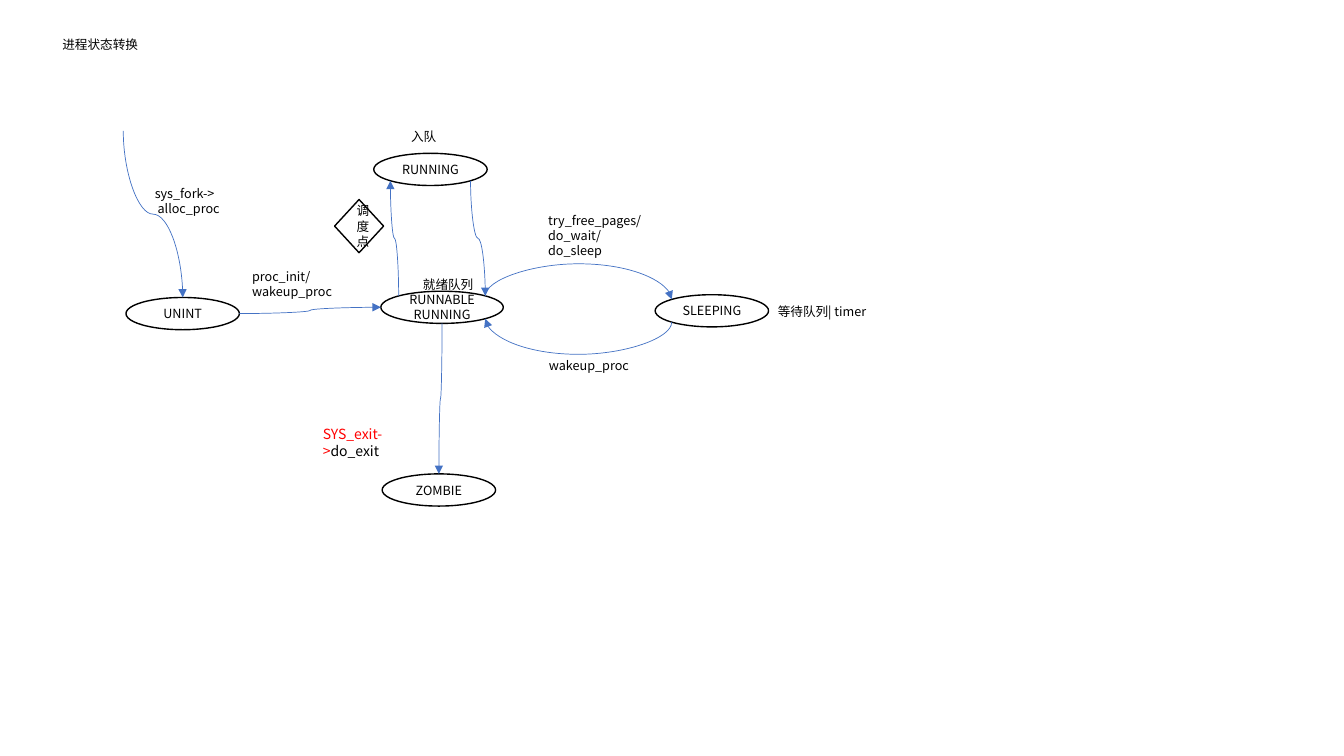
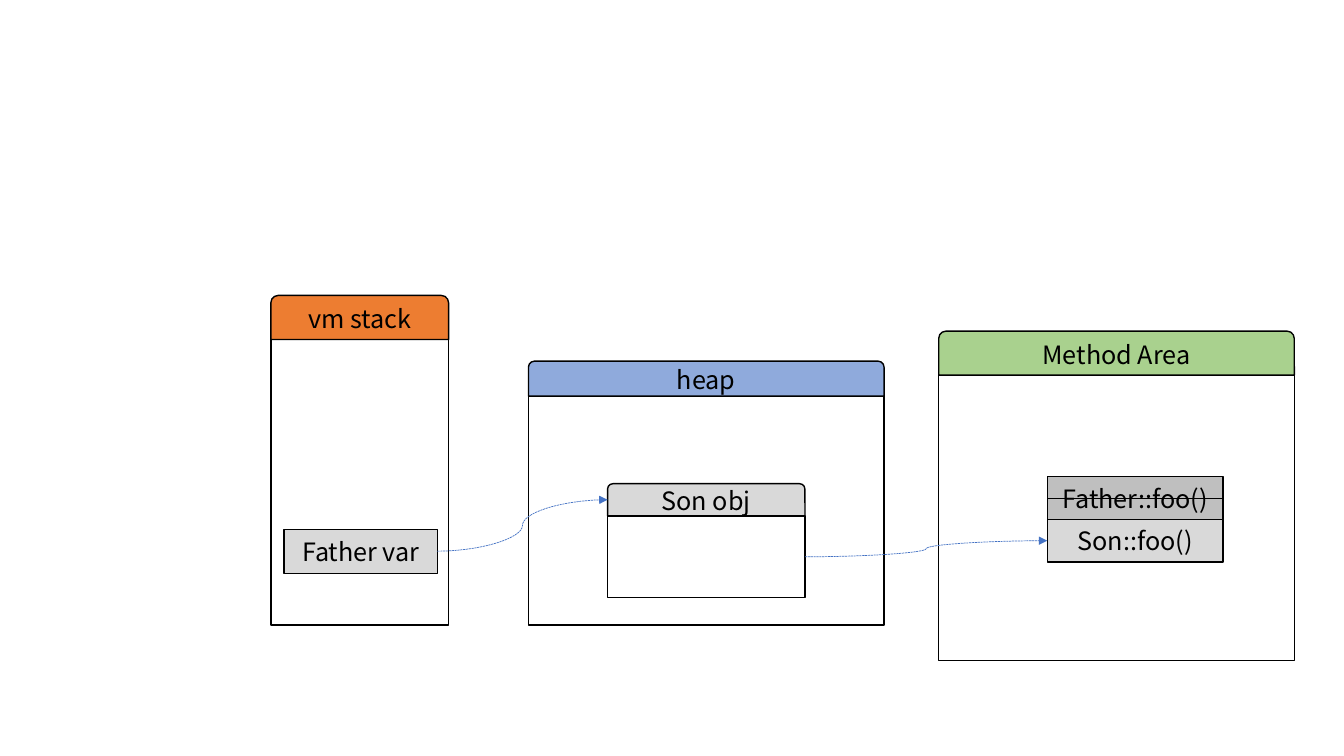
from dataclasses import dataclass
from math import cos, radians, sin

from lxml.etree import SubElement
from pptx import Presentation
from pptx.dml.color import RGBColor
from pptx.enum.dml import MSO_LINE
from pptx.enum.shapes import MSO_CONNECTOR, MSO_SHAPE
from pptx.enum.text import MSO_ANCHOR, MSO_AUTO_SIZE, PP_ALIGN
from pptx.oxml.ns import qn
from pptx.util import Pt


@dataclass(frozen=True)
class Theme:
    font: str = "Noto Sans CJK SC"
    title_font: str = "Arial"
    small: float = 9
    medium: float = 10
    large: float = 18
    ink: str = "000000"
    alert: str = "FF0000"
    arrow: str = "4472C4"
    orange: str = "ED7D31"
    blue: str = "8FAADC"
    green: str = "A9D18E"
    light: str = "D9D9D9"
    grey: str = "BFBFBF"
    outline: float = 1
    hairline: float = 0.5


def rgb(code):
    return RGBColor.from_string(code)


def site(sp, angle):
    """Point on the ellipse inscribed in a shape, clockwise from the right."""
    a = radians(angle)
    return (sp.left.pt + sp.width.pt / 2 * (1 + cos(a)),
            sp.top.pt + sp.height.pt / 2 * (1 + sin(a)))


class Deck:
    def __init__(self, theme):
        self.theme = theme
        self.prs = Presentation()
        self.prs.slide_width, self.prs.slide_height = Pt(960), Pt(540)

    def new_slide(self):
        self.s = self.prs.slides.add_slide(self.prs.slide_layouts[6])

    def add_text(self, tf, lines, size, font=None, align=PP_ALIGN.LEFT):
        """Each line is a string or a list of (text, colour) runs."""
        tf.word_wrap = True
        for i, line in enumerate(lines):
            p = tf.paragraphs[0] if i == 0 else tf.add_paragraph()
            p.alignment = align
            runs = [(line, self.theme.ink)] if isinstance(line, str) else line
            for text, color in runs:
                r = p.add_run()
                r.text = text
                r.font.size = Pt(size)
                r.font.name = font or self.theme.font
                r.font.color.rgb = rgb(color)
                SubElement(r.font._element, qn("a:ea"), typeface=self.theme.font)

    def label(self, x, y, w, h, *lines, size=None, font=None):
        tf = self.s.shapes.add_textbox(Pt(x), Pt(y), Pt(w), Pt(h)).text_frame
        self.add_text(tf, lines, size or self.theme.small, font)
        tf.auto_size = MSO_AUTO_SIZE.SHAPE_TO_FIT_TEXT

    def shape(self, kind, x, y, w, h, *lines, size=None, fill=None, inset=0):
        sp = self.s.shapes.add_shape(kind, Pt(x), Pt(y), Pt(w), Pt(h))
        sp.shadow.inherit = False
        if fill:
            sp.fill.solid()
            sp.fill.fore_color.rgb = rgb(fill)
        else:
            sp.fill.background()
        sp.line.color.rgb = rgb(self.theme.ink)
        sp.line.width = Pt(self.theme.outline)
        tf = sp.text_frame
        tf.margin_left = tf.margin_right = Pt(inset)
        tf.vertical_anchor = MSO_ANCHOR.MIDDLE
        self.add_text(tf, lines, size or self.theme.small, align=PP_ALIGN.CENTER)
        return sp

    def state(self, x, y, *lines, w=81):
        return self.shape(MSO_SHAPE.OVAL, x, y, w, 23, *lines)

    def box(self, x, y, w, h, *lines, fill=None):
        return self.shape(MSO_SHAPE.RECTANGLE, x, y, w, h, *lines,
                          size=self.theme.large, fill=fill)

    def panel(self, x, y, w, head, body, title, fill):
        frame = self.box(x, y + head, w, body)
        header = self.shape(MSO_SHAPE.ROUND_2_SAME_RECTANGLE, x, y, w, head,
                            title, size=self.theme.large, fill=fill)
        return header, frame

    def line(self, kind, start, end, color):
        cx = self.s.shapes.add_connector(kind, *(Pt(v) for v in (*start, *end)))
        cx.line.color.rgb = rgb(color)
        cx.line.width = Pt(self.theme.hairline)
        SubElement(cx._element.spPr, qn("a:effectLst"))
        return cx

    def arrow(self, start, end, dashed=False):
        """Curve that leaves and arrives horizontally."""
        cx = self.line(MSO_CONNECTOR.CURVE, start, end, self.theme.arrow)
        if dashed:
            cx.line.dash_style = MSO_LINE.SQUARE_DOT
        SubElement(cx.line._get_or_add_ln(), qn("a:tailEnd"), type="triangle")
        return cx

    def upright_arrow(self, start, end, bend=None):
        """Curve that leaves and arrives vertically; bend is the mid offset."""
        (x1, y1), (x2, y2) = start, end
        dx, dy = x2 - x1, y2 - y1
        mx, my = (x1 + x2) / 2, (y1 + y2) / 2
        w, h = abs(dy) / 2, abs(dx) / 2
        cx = self.arrow((mx - w, my - h), (mx + w, my + h))
        sp_pr = cx._element.spPr
        xfrm = sp_pr.find(qn("a:xfrm"))
        xfrm.set("rot", str((270 if dx > 0 else 90) * 60000))
        if (dx > 0) == (dy > 0):
            xfrm.set("flipH", "1")
        if bend is not None:
            guides = sp_pr.find(qn("a:prstGeom")).get_or_add_avLst()
            SubElement(guides, qn("a:gd"), name="adj1",
                       fmla=f"val {round(bend / abs(dy) * 100000)}")


def process_states(d):
    t = d.theme
    d.new_slide()
    d.label(37.5, 22.5, 127.5, 18, "进程状态转换", font=t.title_font)

    # States
    unint = d.state(90, 212.5, "UNINT")
    sleeping = d.state(468, 210.5, "SLEEPING")
    running = d.state(267, 109.5, "RUNNING")
    runnable = d.state(272, 208, "RUNNABLE", "RUNNING", w=87.5)
    zombie = d.state(273, 338.5, "ZOMBIE")
    d.shape(MSO_SHAPE.DIAMOND, 239, 142.5, 35, 38, "调度点", inset=7.2)

    # Transitions
    d.upright_arrow((88, 93.5), site(unint, 270))
    d.arrow(site(unint, 0), site(runnable, 180))
    d.upright_arrow(site(runnable, 315), site(sleeping, 225), bend=-23)
    d.upright_arrow(site(sleeping, 135), site(runnable, 45), bend=-23)
    d.upright_arrow(site(runnable, 90), site(zombie, 270))
    d.upright_arrow(site(runnable, 225), site(running, 135))
    d.upright_arrow(site(running, 45), site(runnable, 315))

    # Labels
    d.label(103.5, 129, 83, 29, "sys_fork->", " alloc_proc")
    d.label(173, 188.5, 75.5, 29, "proc_init/", "wakeup_proc")
    d.label(384.5, 148.5, 87, 40, "try_free_pages/", "do_wait/", "do_sleep")
    d.label(385, 252, 73.5, 18, "wakeup_proc")
    d.label(223.5, 300.5, 92, 19.5,
            [("SYS_exit->", t.alert), ("do_exit", t.ink)], size=t.medium)
    d.label(286.5, 88.5, 60, 18, "入队")
    d.label(548.5, 213.5, 88.5, 18, "等待队列| timer")
    d.label(295, 194.5, 60, 18, "就绪队列")


def method_dispatch(d):
    t = d.theme
    d.new_slide()

    # Memory areas
    d.panel(193.5, 211, 127, 31.5, 204, "vm stack", t.orange)
    d.panel(377.5, 258, 254, 25, 163.5, "heap", t.blue)
    d.panel(670.5, 236.5, 254, 31.5, 204, "Method Area", t.green)

    # Variable, object and method table
    var = d.box(203, 378, 109.5, 31.5, "Father var", fill=t.light)
    obj, obj_body = d.panel(434, 345.5, 141, 23, 58.5, "Son obj", t.light)
    father, son = [d.box(748, 340.5 + 30.5 * i, 125.5, 30.5, name, fill=fill)
                   for i, (name, fill) in enumerate(
                       [("Father::foo()", t.grey), ("Son::foo()", t.light)])]
    d.line(MSO_CONNECTOR.STRAIGHT, site(father, 180), site(father, 0), t.ink)

    # References
    d.arrow(site(var, 0), site(obj, 180), dashed=True)
    d.arrow(site(obj_body, 0), site(son, 180), dashed=True)


deck = Deck(Theme())
process_states(deck)
method_dispatch(deck)
deck.prs.save("out.pptx")
